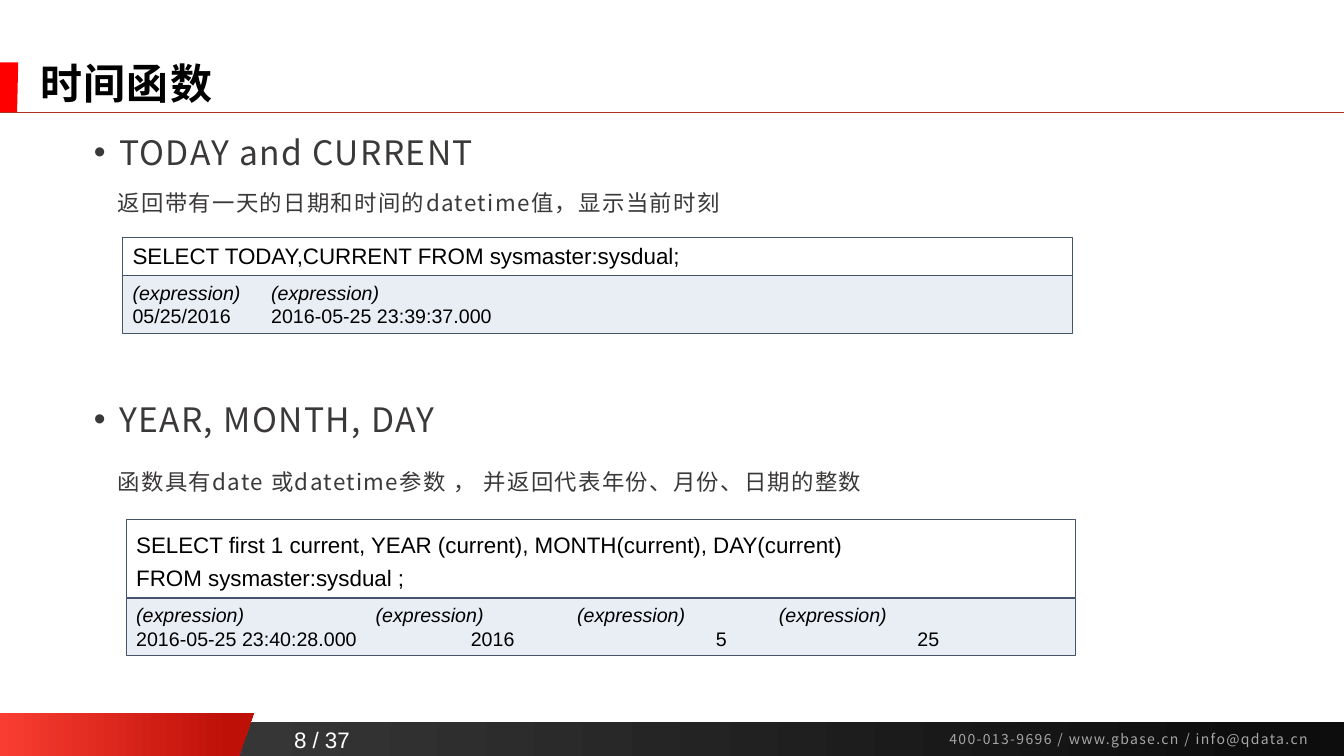
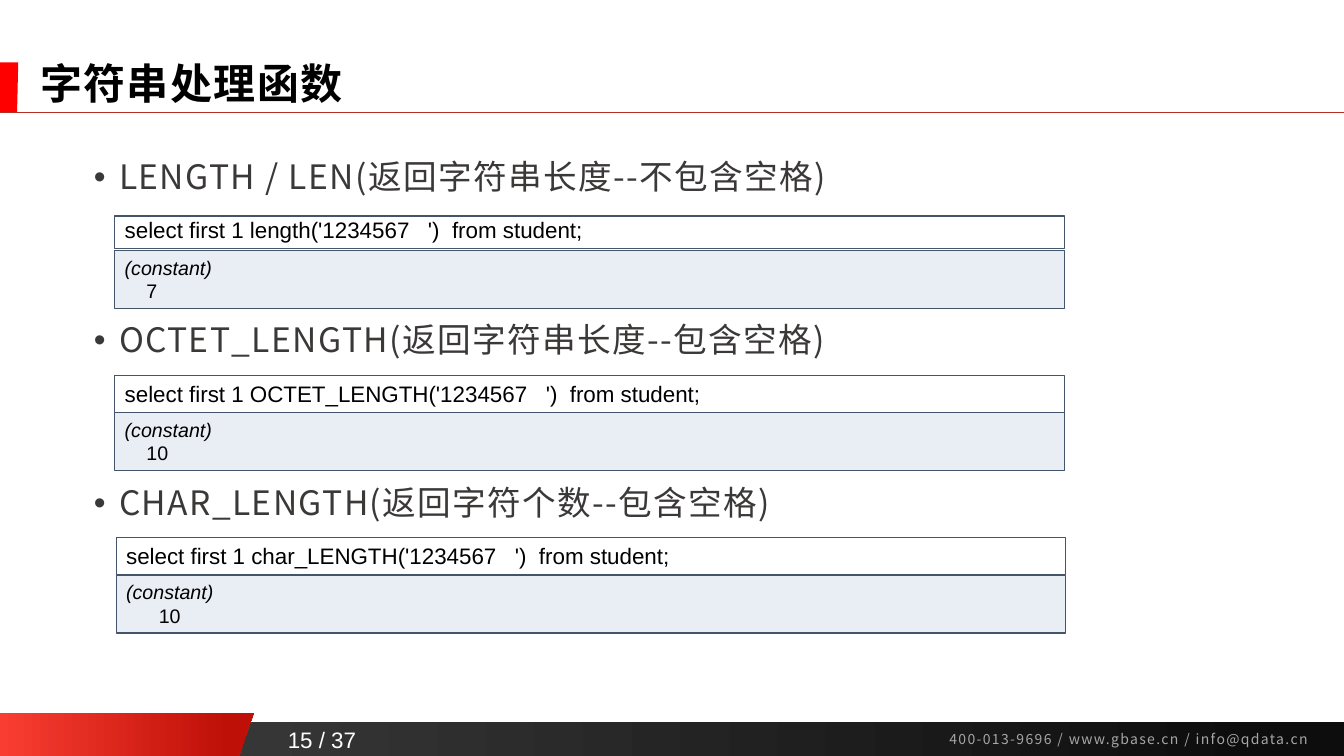
from lxml import etree
from pptx import Presentation
from pptx.dml.color import RGBColor
from pptx.enum.shapes import MSO_CONNECTOR, MSO_SHAPE
from pptx.enum.text import MSO_ANCHOR, MSO_AUTO_SIZE, PP_ALIGN
from pptx.oxml.ns import qn
from pptx.util import Pt

RECT = MSO_SHAPE.RECTANGLE
LINE = MSO_CONNECTOR.STRAIGHT
TOP, MID, LOW = MSO_ANCHOR.TOP, MSO_ANCHOR.MIDDLE, MSO_ANCHOR.BOTTOM
FIXED = MSO_AUTO_SIZE.NONE
LEFT, MIDDLE = PP_ALIGN.LEFT, PP_ALIGN.CENTER

WIDE, HIGH = 960, 540
SANS, CJK = "Arial", "Noto Sans CJK SC"
BLACK, WHITE, GREY, INK = "000000", "FFFFFF", "A6A6A6", "3B3838"
RED, RULE, EDGE, PALE = "FF0000", "B82E24", "44546A", "E9EDF4"
DARK = ("404040", "0D0D0D", 0.94)
FLAME = ("F93D32", "BE1007", 0.91)
CONTACT = "400-013-9696 / www.gbase.cn / info@qdata.cn"
PAGES = 37
CODE_W = 678.2


def rgb(code):
    return RGBColor.from_string(code)


def paint(shape, code):
    shape.shadow.inherit = False
    shape.line.fill.background()
    shape.fill.solid()
    shape.fill.fore_color.rgb = rgb(code)


def blend(shape, first, last, end):
    shape.shadow.inherit = False
    shape.line.fill.background()
    shape.fill.gradient()
    shape.fill.gradient_angle = 0
    for stop, code, place in zip(shape.fill.gradient_stops, (first, last), (0, end)):
        stop.color.rgb = rgb(code)
        stop.position = place


def style(para, size, code=BLACK, face=SANS, bold=False, slant=False, gap=0):
    font = para.font
    font.size = Pt(size)
    font.name = face
    font.bold = bold
    font.italic = slant
    font.color.rgb = rgb(code)
    if gap:
        para._p.pPr.find(qn("a:defRPr")).set("spc", str(gap * 100))


def bullet(para):
    props = para._p.get_or_add_pPr()
    props.set("marL", str(Pt(18)))
    props.set("indent", str(-Pt(18)))
    etree.SubElement(props, qn("a:buFont"), typeface=SANS)
    etree.SubElement(props, qn("a:buChar"), char="•")


def tabs(para, stops):
    if stops:
        group = etree.SubElement(para._p.get_or_add_pPr(), qn("a:tabLst"))
        for stop in stops:
            etree.SubElement(group, qn("a:tab"), pos=str(Pt(stop)), algn="l")


def label(slide, x, y, w, h, text, anchor=TOP):
    frame = slide.shapes.add_textbox(Pt(x), Pt(y), Pt(w), Pt(h)).text_frame
    frame.word_wrap = True
    frame.vertical_anchor = anchor
    para = frame.paragraphs[0]
    para.text = text
    return para


def outline(slide, points):
    first, *rest = [(Pt(x), Pt(y)) for x, y in points]
    maker = slide.shapes.build_freeform(*first)
    maker.add_line_segments(rest)
    return maker.convert_to_shape()


def base(deck, title, page):
    slide = deck.slides.add_slide(deck.slide_layouts[5])
    bar = slide.shapes.add_shape(RECT, 0, Pt(516), Pt(WIDE), Pt(24))
    blend(bar, *DARK)
    wedge = outline(slide, [(0, 509), (181.4, 509), (170.6, HIGH), (0, HIGH)])
    blend(wedge, *FLAME)
    flag = outline(slide, [(0, 44.6), (13, 44.6), (12.2, 80.4), (0, 80.4)])
    paint(flag, RED)
    style(label(slide, 671, 518.4, 287, 20, CONTACT), 10, GREY, CJK, gap=1)
    rule = slide.shapes.add_connector(LINE, 0, Pt(80.2), Pt(WIDE), Pt(80.2))
    rule.line.color.rgb = rgb(RULE)
    rule.line.width = Pt(0.5)
    etree.SubElement(rule._element.spPr, qn("a:effectLst"))
    count = label(slide, 187, 515, 86, 26.6, f"{page} / {PAGES}", LOW)
    count.alignment = MIDDLE
    style(count, 16, WHITE)

    head = slide.shapes.title
    head.left, head.top, head.width, head.height = Pt(21.6), Pt(42.5), Pt(883), Pt(38)
    frame = head.text_frame
    frame.auto_size = FIXED
    frame.vertical_anchor = MID
    para = frame.paragraphs[0]
    para.text = title
    para.alignment = LEFT
    para.line_spacing = 0.9
    style(para, 30, bold=True, gap=1)
    return slide


def topic(slide, y, text):
    para = label(slide, 60, y, 844, 40, text)
    bullet(para)
    para.line_spacing = 0.9
    style(para, 24, INK, CJK, gap=1)


def note(slide, y, text):
    style(label(slide, 77, y, 827, 30, text), 16, INK, CJK, gap=1)


def panel(slide, x, y, h, lines, size, fill=None, space=1.0, stops=()):
    box = slide.shapes.add_shape(RECT, Pt(x), Pt(y), Pt(CODE_W), Pt(h))
    if fill:
        paint(box, fill)
    else:
        box.shadow.inherit = False
        box.fill.background()
    box.line.color.rgb = rgb(EDGE)
    box.line.width = Pt(0.75)
    frame = box.text_frame
    frame.word_wrap = True
    frame.vertical_anchor = TOP
    for row, text in enumerate(lines):
        para = frame.add_paragraph() if row else frame.paragraphs[0]
        para.text = text
        tabs(para, stops[row] if stops else ())
        para.alignment = LEFT
        para.line_spacing = space
        style(para, size, slant=bool(fill) and row == 0)


def query(slide, x, y, h, lines, space=1.0):
    panel(slide, x, y, h, lines, 16, space=space)


def result(slide, x, y, lines, stops=()):
    panel(slide, x, y, 41.2, lines, 14, PALE, stops=stops)


def dates(deck):
    slide = base(deck, "时间函数", 8)
    topic(slide, 93.7, "TODAY and CURRENT")
    note(slide, 131.6, "返回带有一天的日期和时间的datetime值，显示当前时刻")
    result(slide, 87.6, 197, ["(expression)\t(expression)",
                              "05/25/2016\t2016-05-25 23:39:37.000"], [[99], [99]])
    query(slide, 87.6, 169.4, 27.4, ["SELECT TODAY,CURRENT FROM sysmaster:sysdual;"])

    topic(slide, 284.4, "YEAR, MONTH, DAY")
    note(slide, 330.8, "函数具有date 或datetime参数 ， 并返回代表年份、月份、日期的整数")
    result(slide, 90.2, 427.2, ["\t".join(["(expression)"] * 4),
                                "2016-05-25 23:40:28.000\t2016\t5\t25"],
           [[171, 315, 459], [239, 414, 558]])
    query(slide, 90.2, 371, 56, [
        "SELECT first 1 current, YEAR (current), MONTH(current), DAY(current)",
        "FROM sysmaster:sysdual ;"], 1.25)


def strings(deck):
    slide = base(deck, "字符串处理函数", 15)
    topics = ["LENGTH / LEN(返回字符串长度--不包含空格)",
              "OCTET_LENGTH(返回字符串长度--包含空格)",
              "CHAR_LENGTH(返回字符个数--包含空格)"]
    for row, text in enumerate(topics):
        topic(slide, 111.2 + 116.3 * row, text)
    samples = [("length", "    7", 82, 154.3, 23, 179, 0.8),
               ("OCTET_LENGTH", "    10", 82, 268.2, 26.6, 294.6, 1.0),
               ("char_LENGTH", "      10", 83, 384, 26.6, 411, 1.0)]
    for name, value, x, y, h, below, space in samples:
        result(slide, x, below, ["(constant)", value])
        query(slide, x, y, h, [f"select first 1 {name}('1234567   ')  from student;"], space)


def main():
    deck = Presentation()
    deck.slide_width, deck.slide_height = Pt(WIDE), Pt(HIGH)
    dates(deck)
    strings(deck)
    deck.save("out.pptx")


if __name__ == "__main__":
    main()
